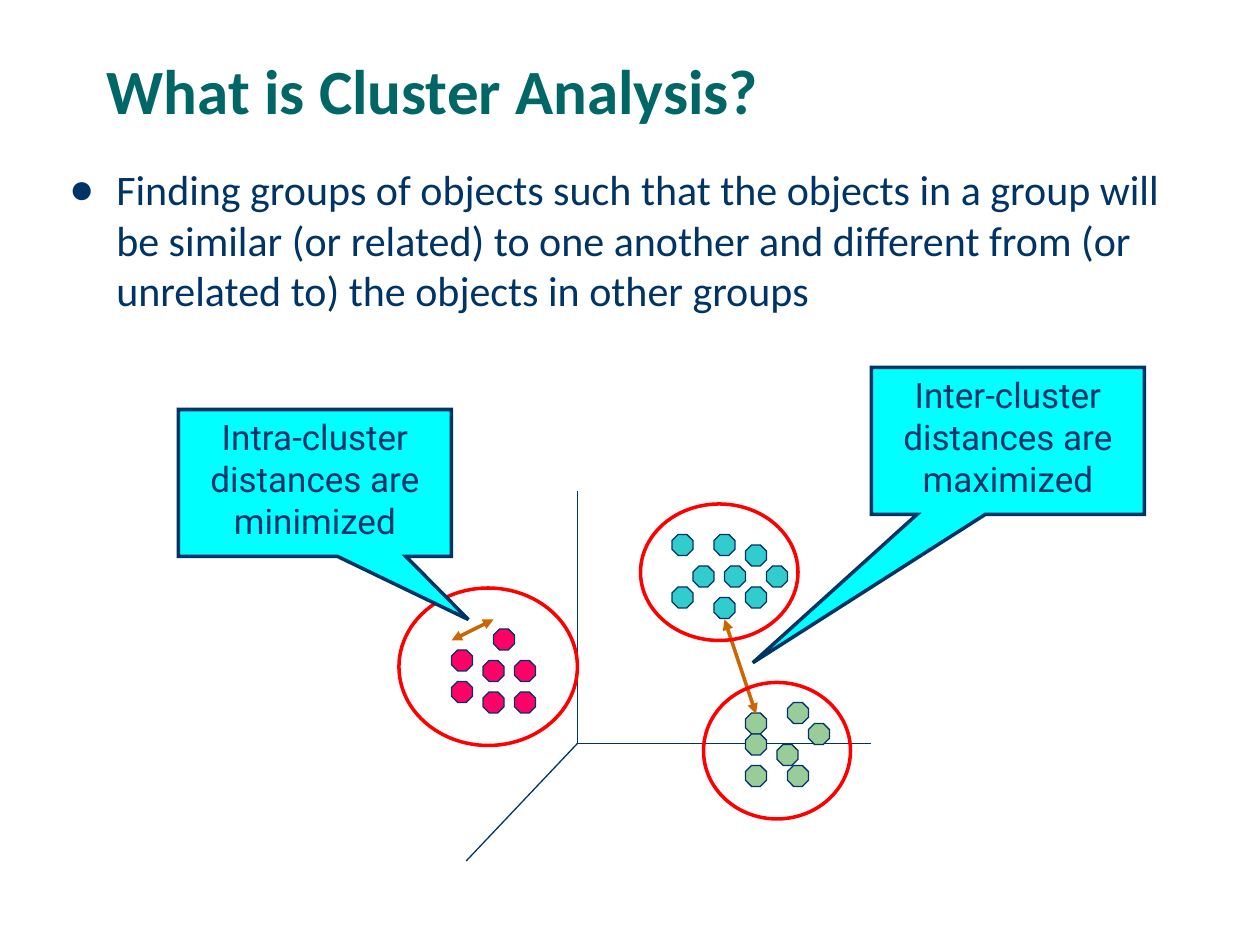
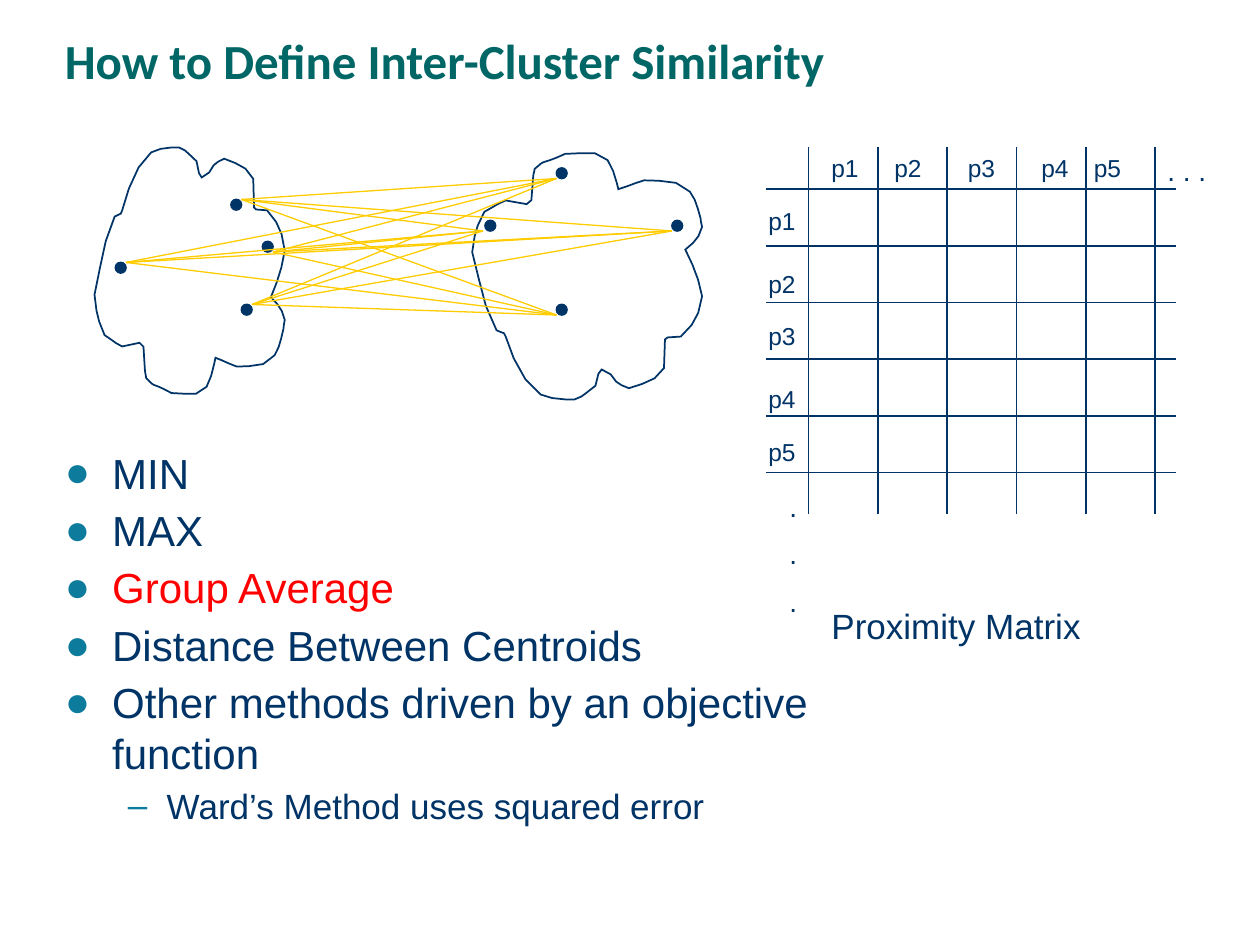
import itertools

import pptx
import pptx.dml.color
import pptx.enum.shapes
import pptx.enum.text
import pptx.oxml
import pptx.oxml.ns
import pptx.util

PX = 7620  # 120 px to the inch
SHAPE = pptx.enum.shapes.MSO_SHAPE
ANCHOR = pptx.enum.text.MSO_ANCHOR
ALIGN = pptx.enum.text.PP_ALIGN

COLORS = {
    "navy": "003366",
    "title": "006666",
    "bullet": "0C7B9C",
    "teal": "33CCCC",
    "pink": "FF0066",
    "green": "99CC99",
    "cyan": "00FFFF",
    "red": "FF0000",
    "arrow": "CC6600",
    "link": "FFCC00",
}

CLUSTERS = {
    "teal": [(660, 539), (690, 539), (680, 509), (680, 569), (730, 539),
             (710, 519), (640, 509), (710, 559), (640, 559)],
    "pink": [(430, 619), (460, 629), (460, 659), (490, 629), (470, 599),
             (490, 659), (430, 649)],
    "green": [(710, 679), (770, 689), (740, 709), (710, 729), (750, 729),
              (710, 699), (750, 669)],
}
RINGS = [(380, 560, 170, 150), (610, 480, 150, 130), (670, 650, 140, 130)]

# Start point, then two handles and an end point for each curve.
BLOB = [
    (91, 172),
    (82, 190), (80, 213), (75, 234), (77, 251), (77, 252), (83, 266),
    (88, 269), (92, 273), (97, 275), (119, 272), (112, 265), (115, 293),
    (115, 296), (116, 298), (116, 300), (123, 307), (119, 304), (126, 307),
    (129, 308), (136, 312), (136, 312), (145, 311), (157, 317), (164, 307),
    (168, 301), (171, 284), (171, 284), (177, 286), (182, 289), (188, 291),
    (196, 290), (211, 293), (218, 282), (222, 276), (223, 269), (225, 261),
    (225, 259), (226, 254), (226, 254), (224, 245), (221, 242), (215, 236),
    (220, 224), (224, 213), (226, 199), (224, 183), (221, 177), (212, 167),
    (198, 160), (203, 182), (201, 142), (196, 131), (187, 130), (178, 126),
    (172, 129), (170, 129), (166, 137), (157, 145), (159, 140), (156, 128),
    (145, 118), (150, 121), (142, 117), (138, 117), (126, 117), (120, 121),
    (109, 129), (101, 151), (97, 167), (97, 171), (93, 170), (91, 172),
]
POINTS = [(230, 290), (220, 190), (110, 250), (250, 230),
          (640, 210), (462, 210), (530, 290), (530, 160)]
LEFT = [(240, 290), (260, 240), (120, 250), (230, 190)]
RIGHT = [(530, 300), (460, 220), (530, 170), (640, 220)]

METHODS = ["MIN", "MAX", "Group Average", "Distance Between Centroids",
           "Other methods driven by an objective function"]


def px(*sizes):
    return [round(size * PX) for size in sizes]


def rgb(name):
    return pptx.dml.color.RGBColor.from_string(COLORS[name])


def add_xml(parent, tag, body="", **attrs):
    pairs = " ".join(f'{key}="{val}"' for key, val in attrs.items())
    space = pptx.oxml.ns.nsdecls("a")
    parent.append(pptx.oxml.parse_xml(f"<a:{tag} {space} {pairs}>{body}</a:{tag}>"))


def style(shape, fill, width, edge="navy"):
    shape.shadow.inherit = False
    if fill:
        shape.fill.solid()
        shape.fill.fore_color.rgb = rgb(fill)
    else:
        shape.fill.background()
    if width:
        shape.line.color.rgb = rgb(edge)
        shape.line.width = pptx.util.Pt(width)
        add_xml(shape.line._get_or_add_ln(), "miter", lim="800000")
    else:
        shape.line.fill.background()


def add_shape(slide, kind, box, fill=None, width=1, edge="navy"):
    shape = slide.shapes.add_shape(kind, *px(*box))
    style(shape, fill, width, edge)
    return shape


def add_line(slide, start, end, width=0.75, color="navy", arrows=False):
    line = slide.shapes.add_connector(
        pptx.enum.shapes.MSO_CONNECTOR.STRAIGHT, *px(*start, *end))
    line.line.color.rgb = rgb(color)
    line.line.width = pptx.util.Pt(width)
    if arrows:
        for tag in ("headEnd", "tailEnd"):
            add_xml(line.line._get_or_add_ln(), tag, type="triangle")
    add_xml(line._element.spPr, "effectLst")


def paint(para, size, font="Arial", color="navy", bold=False):
    for run in para.runs:
        run.font.size = pptx.util.Pt(size)
        run.font.name = font
        run.font.bold = bold
        run.font.color.rgb = rgb(color)


def write(shape, text, size, font="Arial", color="navy", bold=False,
          align=ALIGN.LEFT, anchor=ANCHOR.TOP):
    frame = shape.text_frame
    frame.word_wrap = True
    frame.vertical_anchor = anchor
    frame.text = text
    for para in frame.paragraphs:
        para.alignment = align
        paint(para, size, font, color, bold)
    return frame


def add_text(slide, box, text, size, font="Arial"):
    return write(slide.shapes.add_textbox(*px(*box)), text, size, font)


def add_title(slide, box, text, size):
    shape = add_shape(slide, SHAPE.ROUNDED_RECTANGLE, box, width=0)
    shape.adjustments[0] = 0
    frame = write(shape, text, size, "Calibri", "title", True, anchor=ANCHOR.BOTTOM)
    frame.paragraphs[0].line_spacing = 0.9


def add_bullet(para, color, mark="●", left=45, hang=45):
    props = para._p.get_or_add_pPr()
    props.set("marL", str(left * PX))
    props.set("indent", str(-hang * PX))
    add_xml(props, "buClr", f'<a:srgbClr val="{COLORS[color]}"/>')
    add_xml(props, "buFont", typeface="Arial")
    add_xml(props, "buChar", char=mark)


def add_callout(slide, box, tip, text):
    """Draw a callout; tip is its offset from the centre, as shares of the box."""
    shape = add_shape(slide, SHAPE.RECTANGULAR_CALLOUT, box, "cyan", 2)
    shape.adjustments[0], shape.adjustments[1] = tip
    write(shape, text, 20, "Roboto", align=ALIGN.CENTER)


def trace(knots, steps=3):
    """Turn a chain of cubic curves into points along it."""
    path = [knots[0]]
    for i in range(0, len(knots) - 1, 3):
        for step in range(1, steps + 1):
            t = step / steps
            parts = ((1 - t) ** 3, 3 * t * (1 - t) ** 2, 3 * t * t * (1 - t), t ** 3)
            path.append(tuple(sum(part * knot[axis] for part, knot
                                  in zip(parts, knots[i:i + 4])) for axis in (0, 1)))
    return path


def add_blob(slide, left, top, wide, tall):
    """Draw the blob from an offset, with a scale for each axis."""
    path = [px(left + wide * x, top + tall * y) for x, y in trace(BLOB)]
    pen = slide.shapes.build_freeform(*path[0], scale=1.0)
    pen.add_line_segments(path[1:-1], close=True)
    style(pen.convert_to_shape(), None, 1)


def add_matrix(slide):
    for i in range(6):
        col, row = 770 + 66 * i, 180 + 54 * i
        add_line(slide, (col, 140), (col, 490), 1)
        add_line(slide, (730, row), (1120, row), 1)
    tops = (190, 250, 300, 360, 410)
    lefts = (780, 840, 910, 980, 1030)
    for i, (top, left) in enumerate(zip(tops, lefts), 1):
        add_text(slide, (720, top, 70, 40), f"p{i}", 14)
        add_text(slide, (left, 140, 70, 40), f"p{i}", 14)
    add_text(slide, (1100, 140, 70, 44), ". . .", 16)
    dots = add_text(slide, (740, 460, 70, 140), ".\n.\n.", 16)
    for para in dots.paragraphs[1:]:
        para.space_before = pptx.util.Pt(8)


def add_methods(slide):
    frame = add_text(slide, (50, 420, 760, 410), "\n".join(METHODS), 24)
    for para in frame.paragraphs:
        add_bullet(para, "bullet")
    paint(frame.paragraphs[METHODS.index("Group Average")], 24, color="red")
    note = frame.add_paragraph()
    note.text = "Ward’s Method uses squared error"
    note.level = 1
    paint(note, 20)
    add_bullet(note, "bullet", "–", 97, 37)
    for para in frame.paragraphs[1:]:
        para.space_before = pptx.util.Pt(4)


def build_intro(slide):
    add_title(slide, (90, 48, 1040, 80), "What is Cluster Analysis?", 36)
    body = add_text(
        slide, (54, 150, 1092, 170),
        "Finding groups of objects such that the objects in a group will be "
        "similar (or related) to one another and different from (or unrelated "
        "to) the objects in other groups", 24, "Calibri")
    add_bullet(body.paragraphs[0], "navy")

    for end in ((550, 468), (830, 708), (444, 820)):
        add_line(slide, (550, 708), end)
    for color, spots in CLUSTERS.items():
        for spot in spots:
            add_shape(slide, SHAPE.OCTAGON, (*spot, 20, 20), color, 0.75)

    add_line(slide, (720, 680), (690, 590), 2, "arrow", True)
    add_callout(slide, (830, 350, 260, 140), (-0.935, 1.509),
                "Inter-cluster distances are maximized")
    for ring in RINGS:
        add_shape(slide, SHAPE.OVAL, ring, None, 2, "red")
    add_line(slide, (430, 610), (470, 590), 2, "arrow", True)
    add_callout(slide, (170, 390, 260, 140), (0.562, 0.929),
                "Intra-cluster distances are minimized")


def build_links(slide):
    add_title(slide, (50, 20, 1087, 72), "How to Define Inter-Cluster Similarity", 28)
    add_matrix(slide)
    add_blob(slide, 0, 0, 1.2, 1.2)
    add_blob(slide, 341, 521, 1.45, -1.2)
    for point in POINTS:
        add_shape(slide, SHAPE.OVAL, (*point, 10, 10), "navy")
    for start, end in itertools.product(LEFT, RIGHT):
        add_line(slide, start, end, color="link")
    add_text(slide, (780, 570, 330, 52), "Proximity Matrix", 20)
    add_methods(slide)


def main():
    deck = pptx.Presentation()
    deck.slide_width, deck.slide_height = px(1200, 900)
    for build in (build_intro, build_links):
        build(deck.slides.add_slide(deck.slide_layouts[6]))
    deck.save("out.pptx")


if __name__ == "__main__":
    main()
